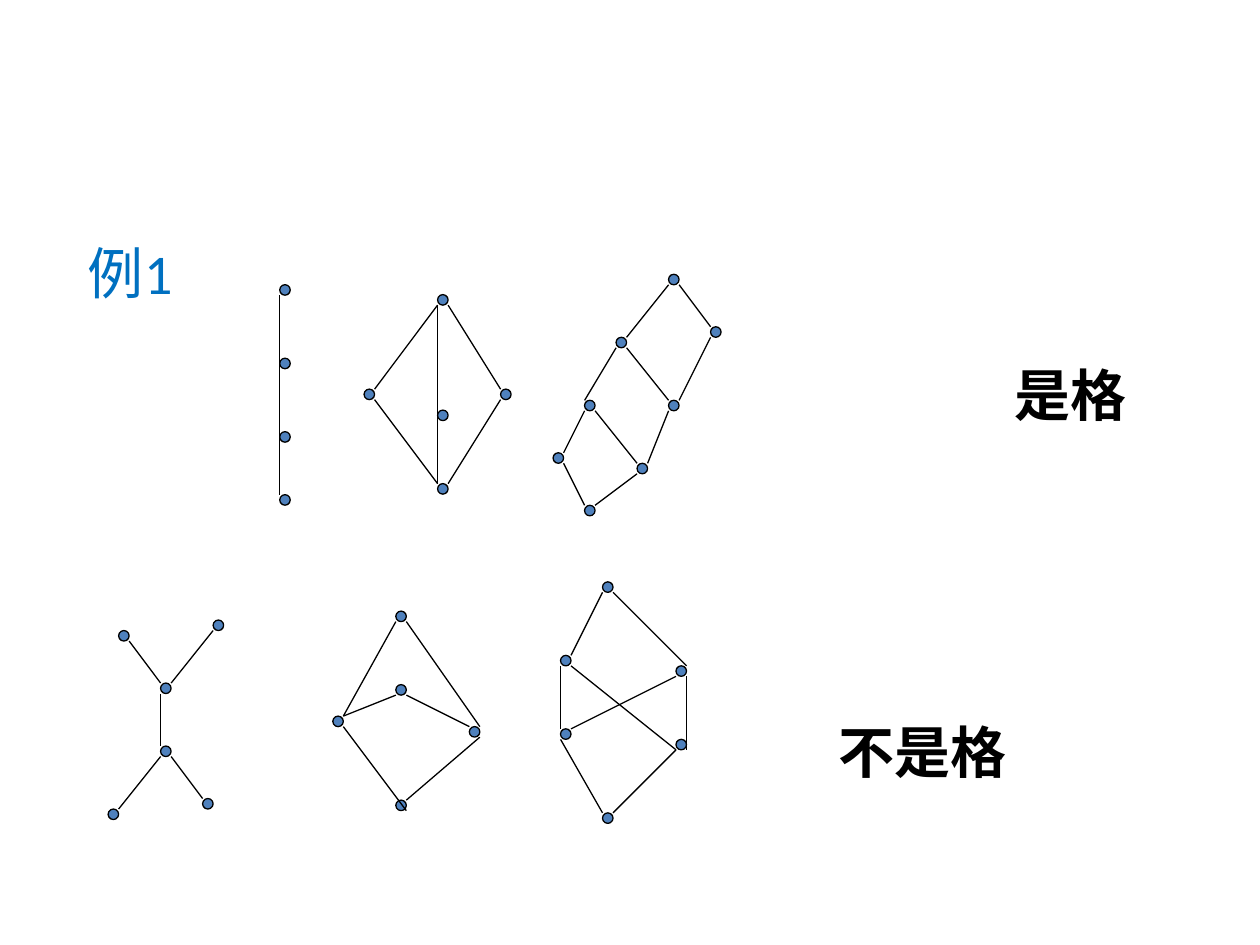
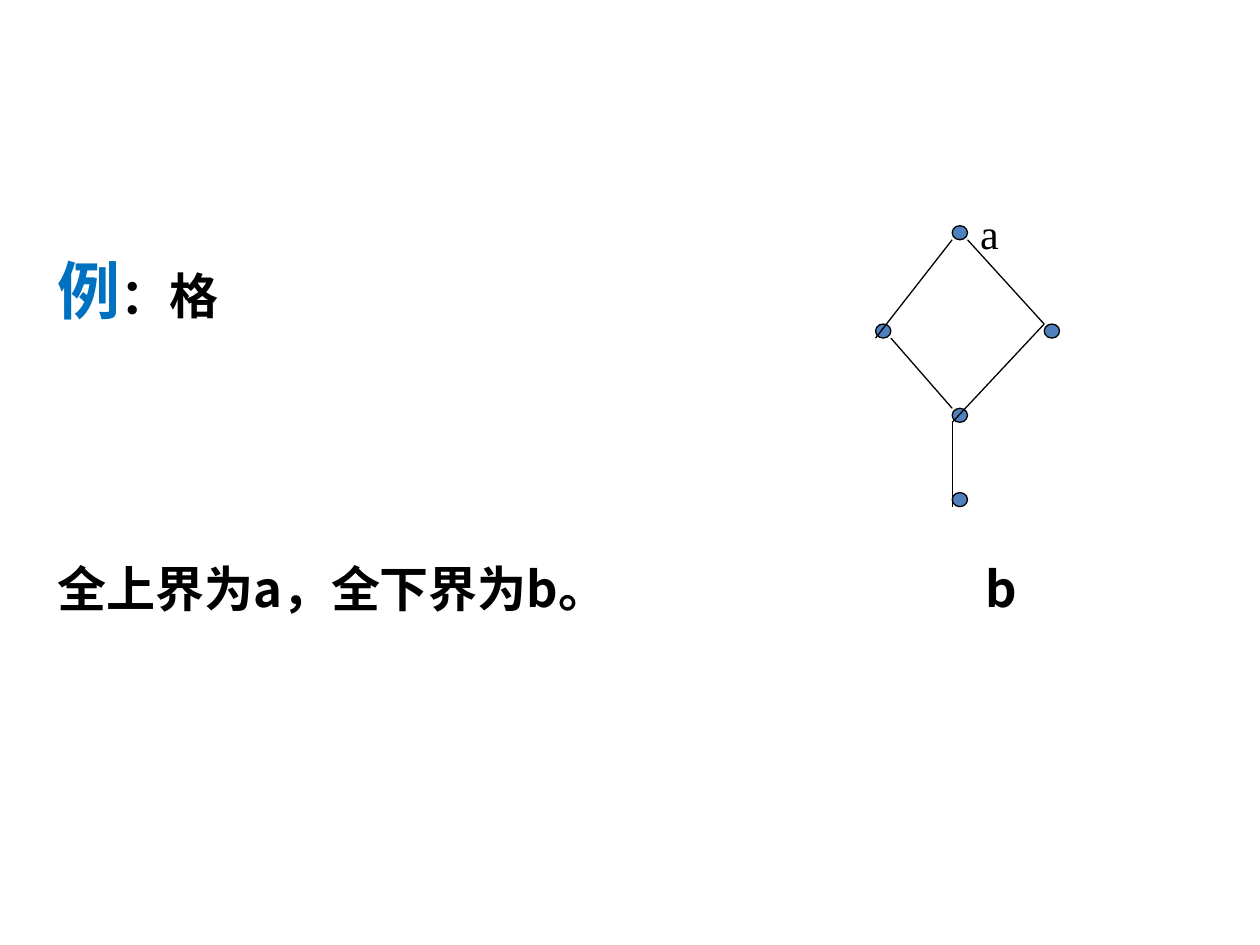
from collections import namedtuple

from lxml import etree
from pptx import Presentation
from pptx.dml.color import RGBColor
from pptx.enum.shapes import MSO_CONNECTOR, MSO_SHAPE
from pptx.enum.text import MSO_ANCHOR, PP_ALIGN
from pptx.oxml.ns import qn
from pptx.util import Cm, Pt

STRAIGHT = MSO_CONNECTOR.STRAIGHT
OVAL = MSO_SHAPE.OVAL
MIDDLE = MSO_ANCHOR.MIDDLE
CENTER = PP_ALIGN.CENTER

COLORS = {"ink": "000000", "accent": "0070C0", "node": "4F81BD"}
CHINESE_FONT = "Noto Sans CJK JP"
TITLE_ONLY, BLANK = 5, 6
NODE_STEP = 2.54 / 12

Box = namedtuple("Box", "left top width height")
Hasse = namedtuple("Hasse", "left top nodes edges")

LATTICES = [
    Hasse(7.34, 5.94, [(7, 0), (7, 11), (13, 9), (7, 18), (0, 9)],
          [(7, 1, 1, 9), (7, 1, 7, 18), (8, 1, 13, 9), (13, 10, 8, 18), (1, 10, 7, 18)]),
    Hasse(11.15, 5.53,
          [(11, 0), (6, 6), (15, 5), (3, 12), (0, 17), (11, 12), (8, 18), (3, 22)],
          [(11, 1, 7, 6), (6, 7, 3, 12), (3, 13, 1, 17), (12, 1, 15, 5), (15, 6, 12, 12),
           (11, 13, 9, 18), (8, 19, 4, 22), (1, 18, 3, 22), (7, 7, 11, 12), (4, 13, 8, 18)]),
    Hasse(5.64, 5.74, [(0, 0), (0, 7), (0, 14), (0, 20)],
          [(0, 1, 0, 20), (0, 8, 0, 15)]),
]
NON_LATTICES = [
    Hasse(2.18, 12.5, [(10, 0), (1, 1), (0, 18), (5, 6), (5, 12), (9, 17)],
          [(2, 2, 5, 6), (10, 1, 6, 6), (5, 7, 5, 12), (5, 13, 1, 18), (6, 13, 9, 17)]),
    Hasse(6.71, 12.32, [(6, 0), (0, 10), (6, 7), (13, 11), (6, 18)],
          [(6, 1, 1, 10), (7, 1, 14, 11), (6, 8, 1, 10), (7, 8, 13, 11),
           (1, 11, 7, 19), (14, 12, 7, 18)]),
    Hasse(11.3, 11.73, [(0, 14), (11, 15), (0, 7), (11, 8), (4, 0), (4, 22)],
          [(11, 16, 5, 22), (4, 1, 1, 7), (5, 1, 12, 8), (0, 8, 0, 14), (12, 9, 12, 16),
           (0, 15, 4, 22), (1, 8, 11, 16), (11, 9, 1, 14)]),
]
BOUNDED_LATTICE = Hasse(
    17.65, 4.55, [(5, 0), (0, 7), (11, 7), (5, 13), (5, 19)],
    [(5, 1, 0, 8), (6, 1, 11, 7), (1, 8, 5, 13), (11, 7, 5, 14), (5, 14, 5, 20)])


def color(name):
    """Return the named colour of the palette."""
    return RGBColor.from_string(COLORS[name])


def add_text(paragraph, text, size=28, font=CHINESE_FONT, ink="ink", bold=False):
    """Append a formatted run to a paragraph."""
    run = paragraph.add_run()
    run.text = text
    run.font.size = Pt(size)
    run.font.bold = bold
    run.font.name = font
    run.font.color.rgb = color(ink)
    east_asian = etree.SubElement(run.font._element, qn("a:ea"))
    east_asian.set("typeface", CHINESE_FONT)


def add_text_box(slide, box):
    """Add a wrapping text box and return its text frame."""
    shape = slide.shapes.add_textbox(*(Cm(length) for length in box))
    shape.text_frame.word_wrap = True
    return shape.text_frame


def add_label(slide, box, text, indent=0, **text_format):
    """Add a one-paragraph label, indented within its box."""
    paragraph = add_text_box(slide, box).paragraphs[0]
    paragraph._p.get_or_add_pPr().set("marL", str(Cm(indent)))
    add_text(paragraph, text, **text_format)


def draw_hasse(slide, hasse, column=NODE_STEP, row=NODE_STEP):
    """Draw the nodes and edges of a Hasse diagram as a group on a grid."""
    def place(x, y):
        return Cm(hasse.left + x * column), Cm(hasse.top + y * row)

    shapes = slide.shapes.add_group_shape().shapes
    for node in hasse.nodes:
        shape = shapes.add_shape(OVAL, *place(*node), Cm(column), Cm(row))
        shape.shadow.inherit = False
        shape.fill.solid()
        shape.fill.fore_color.rgb = color("node")
        format_line(shape.line)
    for edge in hasse.edges:
        connector = shapes.add_connector(STRAIGHT, *place(*edge[:2]), *place(*edge[2:]))
        format_line(connector.line)
        etree.SubElement(connector._element.spPr, qn("a:effectLst"))


def format_line(line):
    """Give a line the shared thin stroke."""
    line.color.rgb = color("ink")
    line.width = Pt(0.75)


def add_title(slide, box, text):
    """Move the title placeholder to its box and fill it."""
    title = slide.shapes.title
    title.left, title.top, title.width, title.height = (Cm(length) for length in box)
    title.text_frame.vertical_anchor = MIDDLE
    paragraph = title.text_frame.paragraphs[0]
    paragraph.alignment = CENTER
    add_text(paragraph, text, size=32, font="Calibri", ink="accent")


def add_statement(slide, box):
    """Write the example and its bounds, with the lower bound at a tab stop."""
    frame = add_text_box(slide, box)
    example = frame.paragraphs[0]
    example.line_spacing = Pt(65)
    add_text(example, "例", size=36, ink="accent", bold=True)
    add_text(example, "：格", bold=True)

    bounds = frame.add_paragraph()
    bounds.line_spacing = Pt(50)
    bounds.space_before = Pt(116)
    tabs = etree.SubElement(bounds._p.get_or_add_pPr(), qn("a:tabLst"))
    etree.SubElement(tabs, qn("a:tab"), pos=str(Cm(18.7)), algn="l")
    add_text(bounds, "全上界为a，全下界为b。\tb", bold=True)


def build_examples_slide(presentation):
    """Build the slide that compares lattices with other ordered sets."""
    slide = presentation.slides.add_slide(presentation.slide_layouts[TITLE_ONLY])
    add_title(slide, Box(0.58, 4.17, 4.09, 2.62), "例1")
    for hasse in LATTICES + NON_LATTICES:
        draw_hasse(slide, hasse)
    label_format = {"size": 32, "font": "Arial", "bold": True}
    add_label(slide, Box(15.9, 14.33, 6.6, 1.63), "不是格", indent=0.75, **label_format)
    add_label(slide, Box(19.71, 7.14, 3.96, 1.63), "是格", indent=0.5, **label_format)


def build_bounds_slide(presentation):
    """Build the slide about the bounds of a lattice."""
    slide = presentation.slides.add_slide(presentation.slide_layouts[BLANK])
    add_statement(slide, Box(0.91, 4.17, 23.01, 14.25))
    draw_hasse(slide, BOUNDED_LATTICE, column=3.4 / 11, row=5.38 / 19)
    add_label(slide, Box(19.51, 4.05, 4.29, 1.27), "a", size=24, font="Times New Roman")


def main():
    """Build and save the presentation."""
    presentation = Presentation()
    presentation.slide_width, presentation.slide_height = Cm(25.4), Cm(19.05)
    build_examples_slide(presentation)
    build_bounds_slide(presentation)
    presentation.save("out.pptx")


if __name__ == "__main__":
    main()
